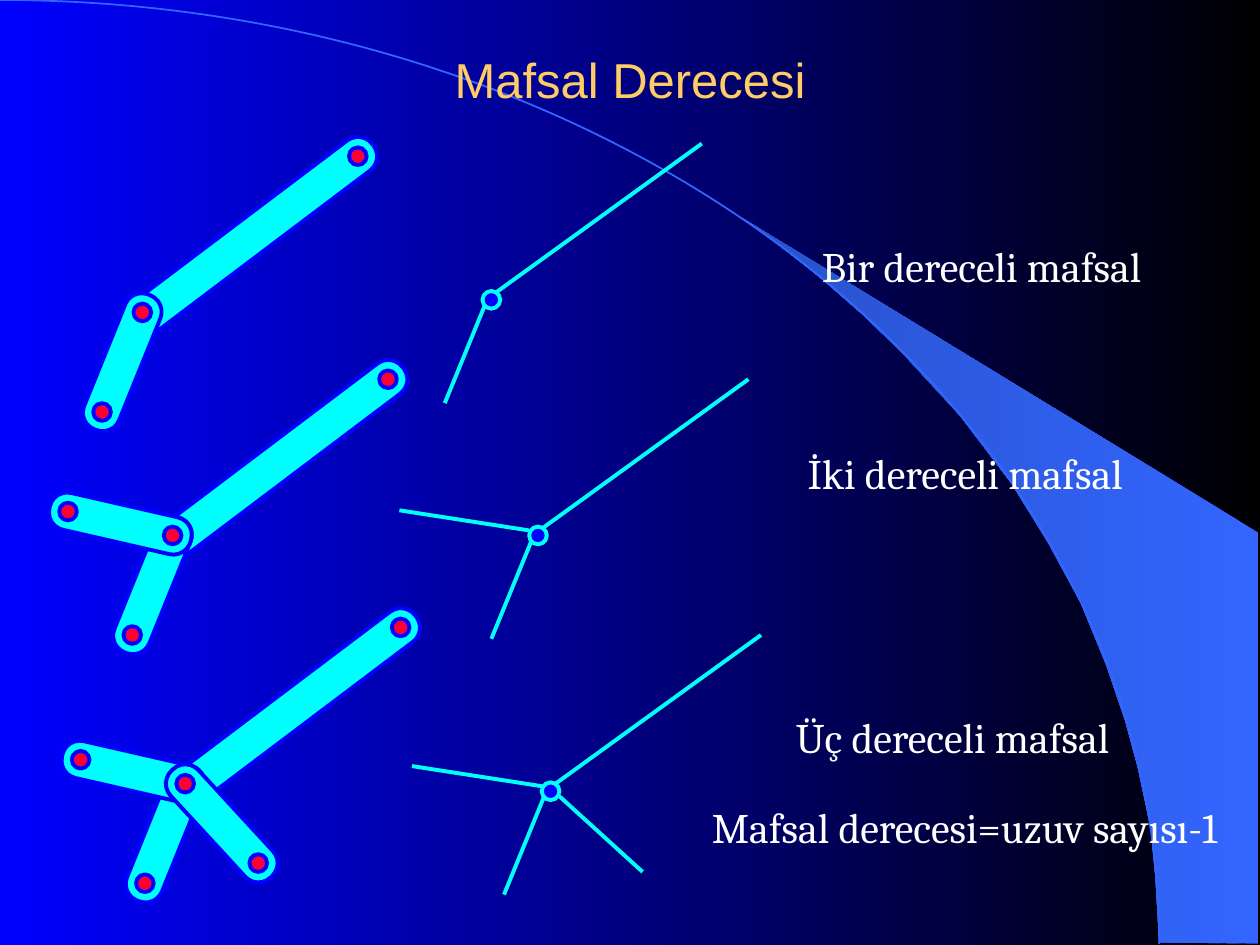
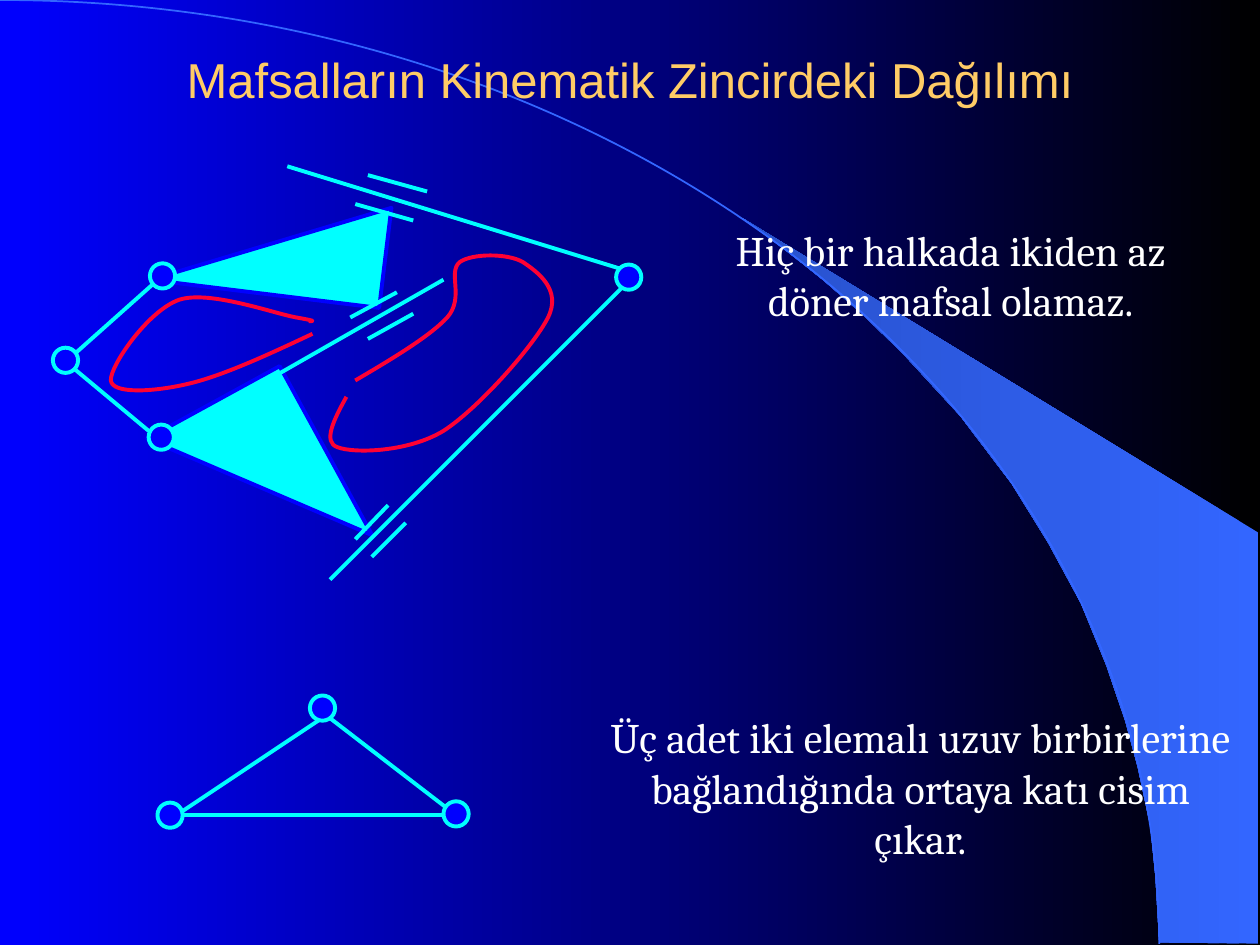
"""Build two slides on joint degrees and joints in a kinematic chain."""
from dataclasses import dataclass
from math import atan2, degrees, dist

from lxml.etree import SubElement
from pptx import Presentation
from pptx.dml.color import RGBColor
from pptx.enum.shapes import MSO_CONNECTOR, MSO_SHAPE
from pptx.enum.text import MSO_ANCHOR, PP_ALIGN
from pptx.oxml.ns import qn
from pptx.util import Inches, Pt


@dataclass(frozen=True)
class Theme:
    night: str = "000000"
    blue: str = "0000FF"
    band: str = "3366FF"
    band_dark: str = "2851CB"
    title: str = "FFCC66"
    text: str = "FFFFFF"
    link: str = "00FFFF"
    red: str = "FF0033"
    title_font: str = "Arial"
    body_font: str = "Cambria"
    title_size: float = 28
    body_size: float = 24
    line_width: float = 2.25
    arc_width: float = 1


THEME = Theme()

BAND = [(9.2, 7.48), (9.99, 7.49), (9.99, 4.23), (5.89, 1.73), (6.24, 1.99),
        (6.53, 2.22), (6.85, 2.5), (7.16, 2.8), (7.62, 3.3), (8.03, 3.84),
        (8.32, 4.31), (8.58, 4.79), (8.78, 5.28), (8.93, 5.72), (9.03, 6.09),
        (9.13, 6.56), (9.17, 6.96), (9.2, 7.48)]
ARC = [(0, 0), (5.08, 0), (9.2, 3.35), (9.2, 7.49)]

DEGREE_TITLE = "Mafsal Derecesi"
DEGREE_TEXTS = [
    ("Bir dereceli mafsal", (6.38, 1.86, 2.82, 0.5)),
    ("İki dereceli mafsal", (6.25, 3.5, 2.82, 0.5)),
    ("Üç dereceli mafsal", (6.15, 5.6, 2.82, 0.5)),
    ("Mafsal derecesi=uzuv sayısı-1", (5.43, 6.31, 4.45, 0.5)),
]
DEGREE_HUBS = [
    {"solid": (1.13, 2.48), "schematic": (3.9, 2.38)},
    {"solid": (1.37, 4.25), "schematic": (4.27, 4.25)},
    {"solid": (1.47, 6.22), "schematic": (4.37, 6.28)},
]
SOLID_ARMS = [((0.04, 0.02), (1.71, -1.24)), ((0, 0), (-0.32, 0.79)),
              ((0, 0), (-0.83, -0.19)), ((0, 0), (0.58, 0.63))]
SCHEMATIC_ARMS = [((-0.03, -0.01), (1.67, -1.24)), ((-0.03, -0.01), (-0.37, 0.82)),
                  ((-0.07, -0.04), (-1.1, -0.2)), ((0.07, 0.04), (0.73, 0.64))]
ARM_WIDTH = 0.3
PIN_SIZE = 0.14

CHAIN_TITLE = "Mafsalların Kinematik Zincirdeki Dağılımı"
CHAIN_TEXTS = [
    ("Hiç bir halkada ikiden az döner mafsal olamaz.", (5.33, 1.73, 4.43, 0.9)),
    ("Üç adet iki elemalı uzuv birbirlerine bağlandığında ortaya katı cisim çıkar.",
     (4.67, 5.6, 5.27, 1.3)),
]
TERNARY_LINKS = [((1.46, 3.1, 1.2, 1.53), 151.3), ((1.75, 1.02, 0.8, 1.83), 277)]
CHAIN_BARS = [
    ((1.4, 6.47), (2.6, 5.67)), ((2.58, 5.67), (3.62, 6.47)), ((1.4, 6.47), (3.6, 6.47)),
    ((2.12, 3.02), (3.52, 2.22)), ((0.58, 2.82), (1.22, 2.25)),
    ((0.58, 2.92), (1.18, 3.42)), ((2.62, 4.6), (5.05, 2.17)),
    ((2.28, 1.32), (4.98, 2.15)),
]
SLIDER_GUIDES = [
    ((2.82, 4.28), (3.08, 4.01)), ((2.95, 4.42), (3.22, 4.15)),
    ((2.78, 2.52), (3.15, 2.32)), ((2.92, 2.69), (3.28, 2.49)),
    ((2.82, 1.62), (3.28, 1.75)), ((2.92, 1.39), (3.39, 1.52)),
]
CHAIN_JOINTS = [(1.35, 6.47), (2.56, 5.62), (3.62, 6.46), (1.28, 3.47),
                (1.29, 2.19), (0.52, 2.86), (4.99, 2.2)]
JOINT_SIZE = 0.2
LOOPS = [
    [(2.82, 3.02), (3.11, 2.85), (3.41, 2.67), (3.55, 2.52), (3.69, 2.36),
     (3.55, 2.16), (3.65, 2.08), (3.75, 2.01), (4.03, 2.01), (4.15, 2.08),
     (4.27, 2.16), (4.46, 2.3), (4.35, 2.52), (4.24, 2.74), (3.8, 3.24),
     (3.52, 3.42), (3.24, 3.59), (2.81, 3.6), (2.68, 3.55), (2.56, 3.51),
     (2.65, 3.33), (2.75, 3.15)],
    [(2.48, 2.65), (2.12, 2.82), (1.75, 2.99), (1.48, 3.05), (1.22, 3.11),
     (0.89, 3.13), (0.88, 3.02), (0.87, 2.91), (1.17, 2.47), (1.42, 2.38),
     (1.66, 2.3), (2.18, 2.49), (2.35, 2.52), (2.52, 2.55), (2.49, 2.55),
     (2.45, 2.55)],
]


def color(value):
    return RGBColor.from_string(value)


def shift(point, offset):
    return point[0] + offset[0], point[1] + offset[1]


def set_gradient(fill, start, end):
    fill.gradient()
    fill.gradient_angle = 180
    for stop, value in zip(fill.gradient_stops, (start, end)):
        stop.color.rgb = color(value)


def set_line(line, value, width=THEME.line_width):
    line.color.rgb = color(value)
    line.width = Pt(width)


def add_text(slide, text, box, *, font=THEME.body_font, size=THEME.body_size,
             value=THEME.text, anchor=MSO_ANCHOR.TOP):
    frame = slide.shapes.add_textbox(*map(Inches, box)).text_frame
    frame.word_wrap = True
    frame.vertical_anchor = anchor
    paragraph = frame.paragraphs[0]
    paragraph.text = text
    paragraph.alignment = PP_ALIGN.CENTER
    paragraph.font.name = font
    paragraph.font.size = Pt(size)
    paragraph.font.color.rgb = color(value)


def add_preset(slide, kind, box, fill, line, rotation=0):
    shape = slide.shapes.add_shape(kind, *map(Inches, box))
    shape.shadow.inherit = False
    shape.rotation = rotation
    shape.fill.solid()
    shape.fill.fore_color.rgb = color(fill)
    set_line(shape.line, line)
    return shape


def add_circle(slide, center, size, fill, line):
    left, top = shift(center, (-size / 2, -size / 2))
    add_preset(slide, MSO_SHAPE.OVAL, (left, top, size, size), fill, line)


def add_bar(slide, start, end):
    connector = slide.shapes.add_connector(
        MSO_CONNECTOR.STRAIGHT, *map(Inches, (*start, *end)))
    set_line(connector.line, THEME.link)
    SubElement(connector._element.spPr, qn("a:effectLst"))


def add_outline(slide, points, close):
    start, *others = [(Inches(x), Inches(y)) for x, y in points]
    builder = slide.shapes.build_freeform(*start)
    builder.add_line_segments(others, close=close)
    shape = builder.convert_to_shape()
    shape.shadow.inherit = False
    return shape


def add_curve(slide, points, value, width=THEME.line_width):
    shape = add_outline(slide, points, close=False)
    shape.fill.background()
    set_line(shape.line, value, width)
    path = next(shape._element.iter(qn("a:path")))
    segments = path.findall(qn("a:lnTo"))
    for first in range(0, len(segments), 3):
        curve = SubElement(path, qn("a:cubicBezTo"))
        for segment in segments[first:first + 3]:
            curve.append(segment[0])
            path.remove(segment)


def add_solid_arm(slide, near, far):
    length = dist(near, far) + ARM_WIDTH
    middle_x, middle_y = (near[0] + far[0]) / 2, (near[1] + far[1]) / 2
    angle = degrees(atan2(far[1] - near[1], far[0] - near[0]))
    box = (middle_x - length / 2, middle_y - ARM_WIDTH / 2, length, ARM_WIDTH)
    arm = add_preset(slide, MSO_SHAPE.ROUNDED_RECTANGLE, box, THEME.link, THEME.blue, angle)
    arm.adjustments[0] = 0.47
    add_circle(slide, far, PIN_SIZE, THEME.red, THEME.blue)


def add_base_slide(presentation, title, texts):
    slide = presentation.slides.add_slide(presentation.slide_layouts[6])
    set_gradient(slide.background.fill, THEME.night, THEME.blue)
    band = add_outline(slide, BAND, close=True)
    set_gradient(band.fill, THEME.band, THEME.band_dark)
    band.line.fill.background()
    add_curve(slide, ARC, THEME.band, THEME.arc_width)
    add_text(slide, title, (0.75, 0, 8.5, 1.25), font=THEME.title_font,
             size=THEME.title_size, value=THEME.title, anchor=MSO_ANCHOR.MIDDLE)
    for text, box in texts:
        add_text(slide, text, box)
    return slide


def build_degree_slide(presentation):
    slide = add_base_slide(presentation, DEGREE_TITLE, DEGREE_TEXTS)
    for degree, hub in enumerate(DEGREE_HUBS, start=1):
        for near, far in SOLID_ARMS[:degree + 1]:
            add_solid_arm(slide, shift(hub["solid"], near), shift(hub["solid"], far))
        add_circle(slide, hub["solid"], PIN_SIZE, THEME.red, THEME.blue)
        for near, far in SCHEMATIC_ARMS[:degree + 1]:
            add_bar(slide, shift(hub["schematic"], near), shift(hub["schematic"], far))
        add_circle(slide, hub["schematic"], PIN_SIZE, THEME.blue, THEME.link)


def build_chain_slide(presentation):
    slide = add_base_slide(presentation, CHAIN_TITLE, CHAIN_TEXTS)
    for box, rotation in TERNARY_LINKS:
        add_preset(slide, MSO_SHAPE.RIGHT_TRIANGLE, box, THEME.link, THEME.blue, rotation)
    for start, end in CHAIN_BARS + SLIDER_GUIDES:
        add_bar(slide, start, end)
    for center in CHAIN_JOINTS:
        add_circle(slide, center, JOINT_SIZE, THEME.blue, THEME.link)
    for loop in LOOPS:
        add_curve(slide, loop, THEME.red)


def main():
    presentation = Presentation()
    presentation.slide_width = Inches(10)
    presentation.slide_height = Inches(7.5)
    build_degree_slide(presentation)
    build_chain_slide(presentation)
    presentation.save("out.pptx")


if __name__ == "__main__":
    main()
